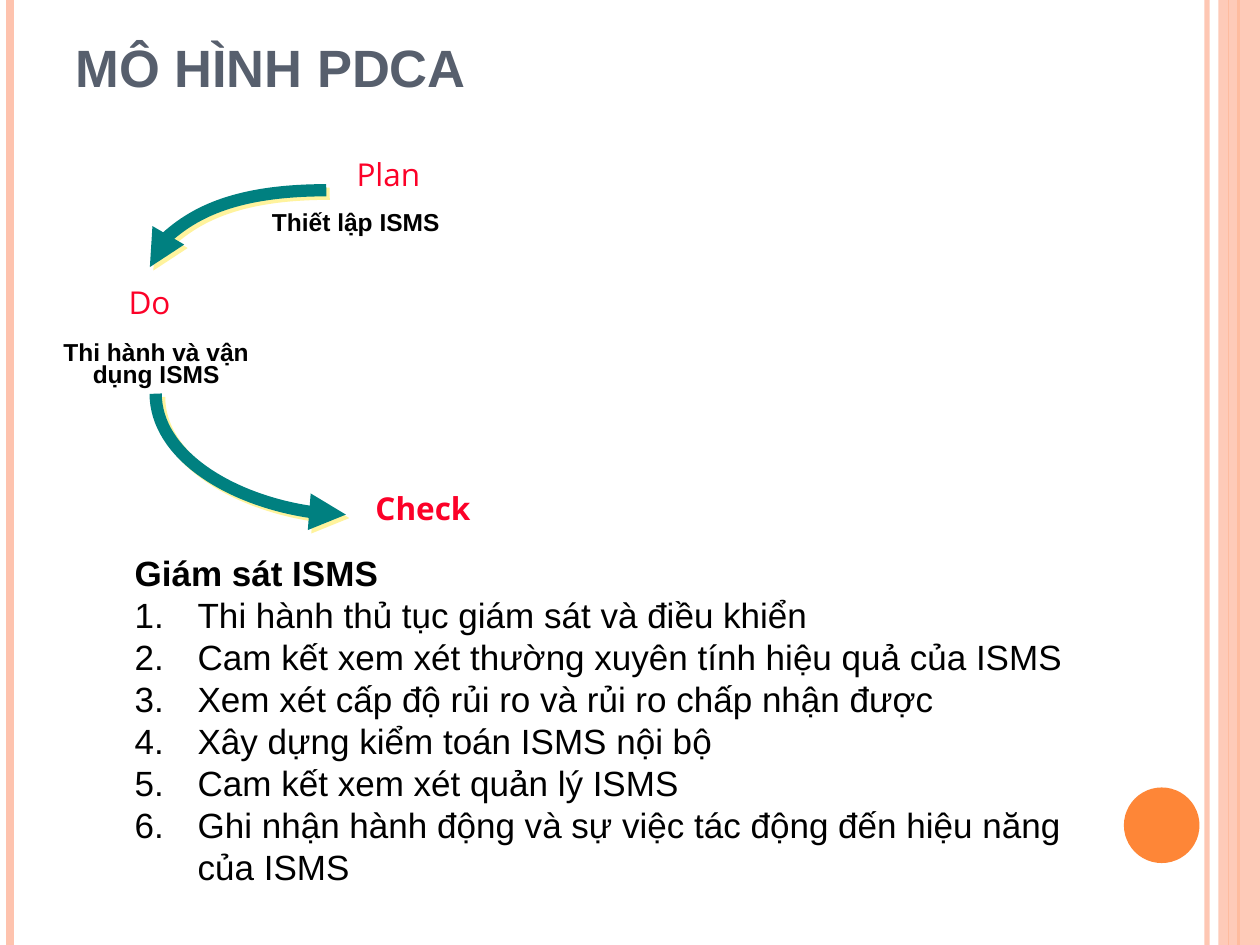
"""Build the PDCA model slide."""
from lxml import etree
from pptx import Presentation
from pptx.dml.color import RGBColor
from pptx.enum.shapes import MSO_CONNECTOR, MSO_SHAPE
from pptx.enum.text import MSO_ANCHOR, PP_ALIGN
from pptx.oxml.ns import qn
from pptx.util import Inches, Pt

STRAIGHT, CURVE = MSO_CONNECTOR.STRAIGHT, MSO_CONNECTOR.CURVE
RECT, OVAL = MSO_SHAPE.RECTANGLE, MSO_SHAPE.OVAL
BOTTOM, TOP = MSO_ANCHOR.BOTTOM, MSO_ANCHOR.TOP
LEFT, CENTER = PP_ALIGN.LEFT, PP_ALIGN.CENTER
PEACH = RGBColor(0xFE, 0xC3, 0xAE)
ORANGE = RGBColor(0xFE, 0x86, 0x37)
SLATE = RGBColor(0x57, 0x5F, 0x6D)
RED = RGBColor(0xFC, 0x01, 0x28)
BLACK = RGBColor(0, 0, 0)
TEAL = RGBColor(0, 0x80, 0x80)

deck = Presentation()
deck.slide_width, deck.slide_height = Inches(10), Inches(7.5)
slide = deck.slides.add_slide(deck.slide_layouts[6])
shapes = slide.shapes


def add_line(kind, start, end, color, width):
    line = shapes.add_connector(kind, *map(Inches, start + end))
    line.line.color.rgb = color
    line.line.width = Pt(width)
    effect = etree.SubElement(line._element.spPr, qn("a:effectLst"))
    return line, effect


def add_text(box, lines, font, size, color, bold=False, align=LEFT,
             anchor=TOP, inset=0.1, space=1.0):
    frame = shapes.add_textbox(*map(Inches, box)).text_frame
    frame.word_wrap = True
    frame.vertical_anchor = anchor
    frame.margin_left = Inches(inset)
    for i, words in enumerate(lines):
        para = frame.add_paragraph() if i else frame.paragraphs[0]
        para.alignment = align
        para.line_spacing = space
        run = para.add_run()
        run.text = words
        run.font.name, run.font.size = font, Pt(size)
        run.font.bold = bold
        run.font.color.rgb = color
    return frame


# (x, color, width, opacity)
for x, color, width, alpha in [(9.58, PEACH, 3, 93), (0.08, PEACH, 4.5, 100),
                               (9.83, ORANGE, 1.5, 100), (9.75, ORANGE, 0.75, 100)]:
    line, effect = add_line(STRAIGHT, (x, 0), (x, 7.5), color, width)
    if alpha < 100:
        tint = line._element.spPr.find(".//" + qn("a:srgbClr"))
        etree.SubElement(tint, qn("a:alpha"), val=str(alpha * 1000))

for kind, box, color, alpha in [(RECT, (9.67, 0, 0.33, 7.5), PEACH, 87),
                                (OVAL, (8.92, 6.25, 0.6, 0.6), ORANGE, 100)]:
    shape = shapes.add_shape(kind, *map(Inches, box))
    shape.shadow.inherit = False
    shape.fill.solid()
    shape.fill.fore_color.rgb = color
    shape.line.fill.background()
    tint = shape._element.spPr.find(".//" + qn("a:srgbClr"))
    etree.SubElement(tint, qn("a:alpha"), val=str(alpha * 1000))

add_text((0.5, 0.3, 8.17, 0.53), ["MÔ HÌNH PDCA"], "Arial", 30, SLATE,
         bold=True, anchor=BOTTOM)

for name, box, bold in [("Plan", (2.6, 1.18, 1.1, 0.4), False),
                        ("Do", (0.79, 2.2, 0.95, 0.4), False),
                        ("Check", (2.75, 3.83, 1.75, 0.5), True)]:
    add_text(box, [name], "Open Sans", 18, RED, bold=bold, inset=0.23)

for words, box, align in [
        ("Thiết lập ISMS", (2.06, 1.65, 2.11, 0.28), LEFT),
        ("Thi hành và vận dụng ISMS", (0.33, 2.68, 1.82, 0.45), CENTER)]:
    add_text(box, [words], "Arial", 14, BLACK, bold=True, align=align, space=0.75)

for start, end, turn in [((2.59, 1.51), (1.19, 2.12), 0),
                         ((2.47, 2.85), (1.51, 4.36), 270)]:
    arrow, effect = add_line(CURVE, start, end, TEAL, 7)
    props = arrow._element.spPr
    props.find(qn("a:prstGeom")).set("prst", "curvedConnector2")
    props.find(qn("a:xfrm")).set("rot", str(turn * 60000))
    etree.SubElement(props.find(qn("a:ln")), qn("a:tailEnd"), type="triangle")
    shade = etree.SubElement(effect, qn("a:outerShdw"), dist=str(Pt(2.8)),
                             dir="2700000", algn="ctr", rotWithShape="0")
    etree.SubElement(shade, qn("a:srgbClr"), val="FFF39D")

steps = ["Thi hành thủ tục giám sát và điều khiển",
         "Cam kết xem xét thường xuyên tính hiệu quả của ISMS",
         "Xem xét cấp độ rủi ro và rủi ro chấp nhận được",
         "Xây dựng kiểm toán ISMS nội bộ",
         "Cam kết xem xét quản lý ISMS",
         "Ghi nhận hành động và sự việc tác động đến hiệu năng của ISMS"]
frame = add_text((0.97, 4.33, 7.69, 2.79), ["Giám sát ISMS"] + steps,
                 "Arial", 20, BLACK)
head, *items = frame.paragraphs
head.runs[0].font.bold = True
for para in items:
    props = para._p.get_or_add_pPr()
    props.set("marL", str(Inches(0.5)))
    props.set("indent", str(Inches(-0.5)))
    etree.SubElement(props, qn("a:buFont"), typeface="Arial")
    etree.SubElement(props, qn("a:buAutoNum"), type="arabicPeriod")

deck.save("out.pptx")
